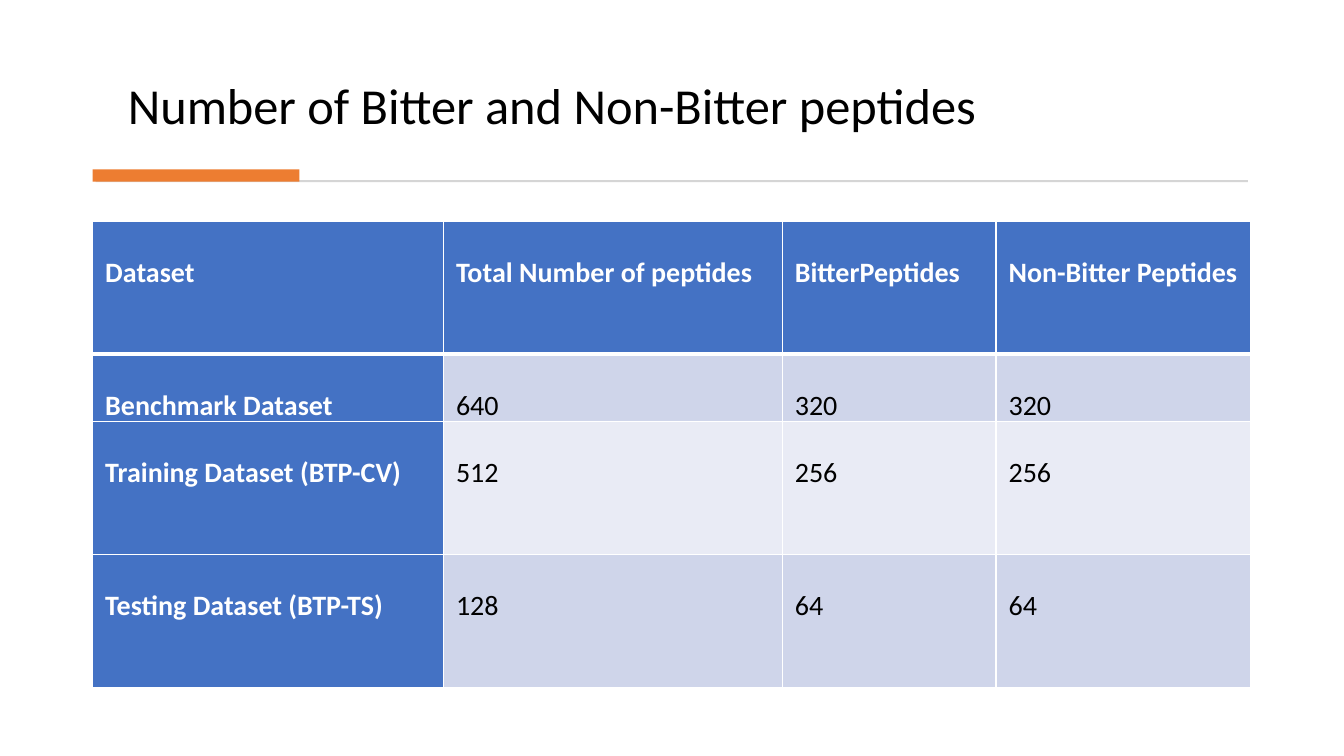
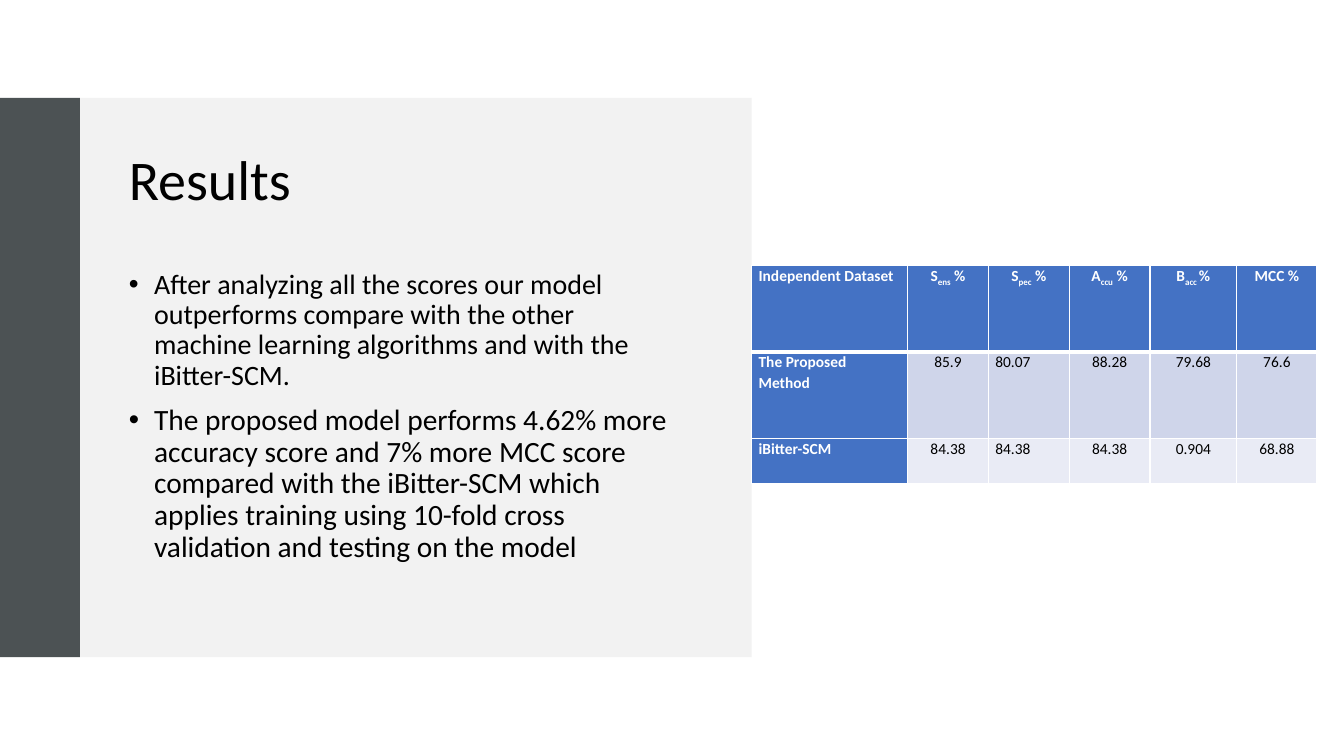
"""Build two slides on bitter peptide datasets and model results."""
from dataclasses import dataclass

from lxml.etree import SubElement
from pptx import Presentation
from pptx.dml.color import RGBColor
from pptx.enum.shapes import MSO_SHAPE as SHAPE
from pptx.enum.text import MSO_ANCHOR as ANCHOR, PP_ALIGN as ALIGN
from pptx.oxml.ns import qn
from pptx.util import Pt

FONT = "Calibri"
COLORS = {
    "text": "000000", "white": "FFFFFF", "rule": "D5D5D5", "accent": "ED7D31",
    "side": "4C5254", "panel": "808080", "head": "4472C4",
    "band1": "CFD5EA", "band2": "E9EBF5",
}


@dataclass
class Box:
    left: float
    top: float
    width: float
    height: float

    def pts(self) -> tuple:
        return Pt(self.left), Pt(self.top), Pt(self.width), Pt(self.height)


@dataclass
class Block:
    box: Box
    color: str
    alpha: int = 100


@dataclass
class Para:
    text: str
    size: float
    before: float = 0
    indent: float = 0
    bullet: bool = False


@dataclass
class Grid:
    left: float
    top: float
    cols: list
    heights: list
    rows: list
    size: float
    margin: float
    spacing: float
    head_aligns: list
    body_aligns: list


def rgb(name: str) -> RGBColor:
    return RGBColor.from_string(COLORS[name])


def add_run(p, text: str, size: float, color: str = "text",
            bold: bool = False, sub: bool = False) -> None:
    r = p.add_run()
    r.text = text
    font = r.font
    font.name, font.size, font.bold = FONT, Pt(size), bold
    font.color.rgb = rgb(color)
    if sub:
        r._r.get_or_add_rPr().set("baseline", "-25000")


def add_block(s, block: Block) -> None:
    sp = s.shapes.add_shape(SHAPE.RECTANGLE, *block.box.pts())
    sp.shadow.inherit = False
    sp.line.fill.background()
    sp.fill.solid()
    sp.fill.fore_color.rgb = rgb(block.color)
    if block.alpha < 100:
        color = sp._element.spPr.find(qn("a:solidFill"))[0]
        SubElement(color, qn("a:alpha"), val=str(block.alpha * 1000))


def add_text(s, box: Box, paras: list, anchor: ANCHOR = ANCHOR.TOP) -> None:
    tf = s.shapes.add_textbox(*box.pts()).text_frame
    tf.word_wrap = True
    tf.vertical_anchor = anchor
    for i, para in enumerate(paras):
        p = tf.add_paragraph() if i else tf.paragraphs[0]
        p.line_spacing = 0.9
        if para.before:
            p.space_before = Pt(para.before)
        pPr = p._p.get_or_add_pPr()
        pPr.set("marL", str(Pt(18 if para.bullet else 0)))
        pPr.set("indent", str(Pt(-18 if para.bullet else para.indent)))
        if para.bullet:
            SubElement(pPr, qn("a:buFont"), typeface="Arial")
            SubElement(pPr, qn("a:buChar"), char="•")
        add_run(p, para.text, para.size)


def set_borders(cell, row: int) -> None:
    tcPr = cell._tc.get_or_add_tcPr()
    widths = {"L": 1, "R": 1, "T": 3 if row == 1 else 1, "B": 3 if row == 0 else 1}
    for side, width in widths.items():
        ln = SubElement(tcPr, qn(f"a:ln{side}"), w=str(Pt(width)))
        fill = SubElement(ln, qn("a:solidFill"))
        SubElement(fill, qn("a:srgbClr"), val=COLORS["white"])


def add_grid(s, grid: Grid) -> None:
    box = Box(grid.left, grid.top, sum(grid.cols), sum(grid.heights))
    table = s.shapes.add_table(len(grid.rows), len(grid.cols), *box.pts()).table
    table.first_row = table.horz_banding = False
    for col, width in zip(table.columns, grid.cols):
        col.width = Pt(width)
    for i, (row, height) in enumerate(zip(grid.rows, grid.heights)):
        table.rows[i].height = Pt(height)
        aligns = grid.body_aligns if i else grid.head_aligns
        for j, (text, align) in enumerate(zip(row, aligns)):
            cell = table.cell(i, j)
            head = i == 0 or j == 0
            cell.margin_left = cell.margin_right = Pt(grid.margin)
            cell.margin_top = cell.margin_bottom = 0
            set_borders(cell, i)
            cell.fill.solid()
            cell.fill.fore_color.rgb = rgb("head" if head else "band1" if i % 2 else "band2")
            p = cell.text_frame.paragraphs[0]
            p.alignment, p.line_spacing = align, grid.spacing
            for k, part in enumerate(text.split("_")):
                add_run(p, part, grid.size, "white" if head else "text", head, k == 1)


def build_datasets(s) -> None:
    add_text(s, Box(66.2, 20.2, 827.3, 79.9),
             [Para("Number of Bitter and Non-Bitter peptides", 36, indent=18)], ANCHOR.BOTTOM)
    add_block(s, Block(Box(68.4, 128.7, 823, 1.4), "rule"))
    add_block(s, Block(Box(66.2, 121, 147.6, 8.8), "accent"))
    aligns = [ALIGN.JUSTIFY] * 4
    add_grid(s, Grid(
        66.2, 158, [250.6, 242, 152.7, 182.2], [95, 46, 95, 95],
        [["Dataset", "Total Number of peptides", "BitterPeptides", "Non-Bitter Peptides"],
         ["Benchmark Dataset", "640", "320", "320"],
         ["Training Dataset (BTP-CV)", "512", "256", "256"],
         ["Testing Dataset (BTP-TS)", "128", "64", "64"]],
        20, 9, 2, aligns, aligns))


def build_results(s) -> None:
    add_block(s, Block(Box(0, 70, 57, 399.5), "side"))
    add_block(s, Block(Box(57, 70, 480, 399.5), "panel", 10))
    add_text(s, Box(85, 82.8, 399, 94.3), [Para("Results", 40)], ANCHOR.MIDDLE)
    add_text(s, Box(85, 189.4, 399, 267), [
        Para("After analyzing all the scores our model outperforms compare with the other "
             "machine learning algorithms and with the iBitter-SCM.", 20, bullet=True),
        Para("The proposed model performs 4.62% more accuracy score and 7% more MCC score "
             "compared with the iBitter-SCM which applies training using 10-fold cross "
             "validation and testing on the model", 21, before=10, bullet=True)])
    left, mid = ALIGN.LEFT, ALIGN.CENTER
    add_grid(s, Grid(
        537, 189.4, [111.4, 57.7, 57.7, 57.7, 62, 57.4], [61.8, 61.8, 32.2],
        [["Independent Dataset", "S_ens_ %", "S_pec_ %", "A_ccu_ %", "B_acc _%", "MCC %"],
         ["The Proposed Method", "85.9", "80.07", "88.28", "79.68", "76.6"],
         ["iBitter-SCM", "84.38", "84.38", "84.38", "0.904", "68.88"]],
        11, 4.9, 1.07, [left] + [mid] * 5, [left, mid, left, mid, mid, mid]))


def main() -> None:
    prs = Presentation()
    prs.slide_width, prs.slide_height = Pt(960), Pt(540)
    for build in (build_datasets, build_results):
        build(prs.slides.add_slide(prs.slide_layouts[6]))
    prs.save("out.pptx")


if __name__ == "__main__":
    main()
